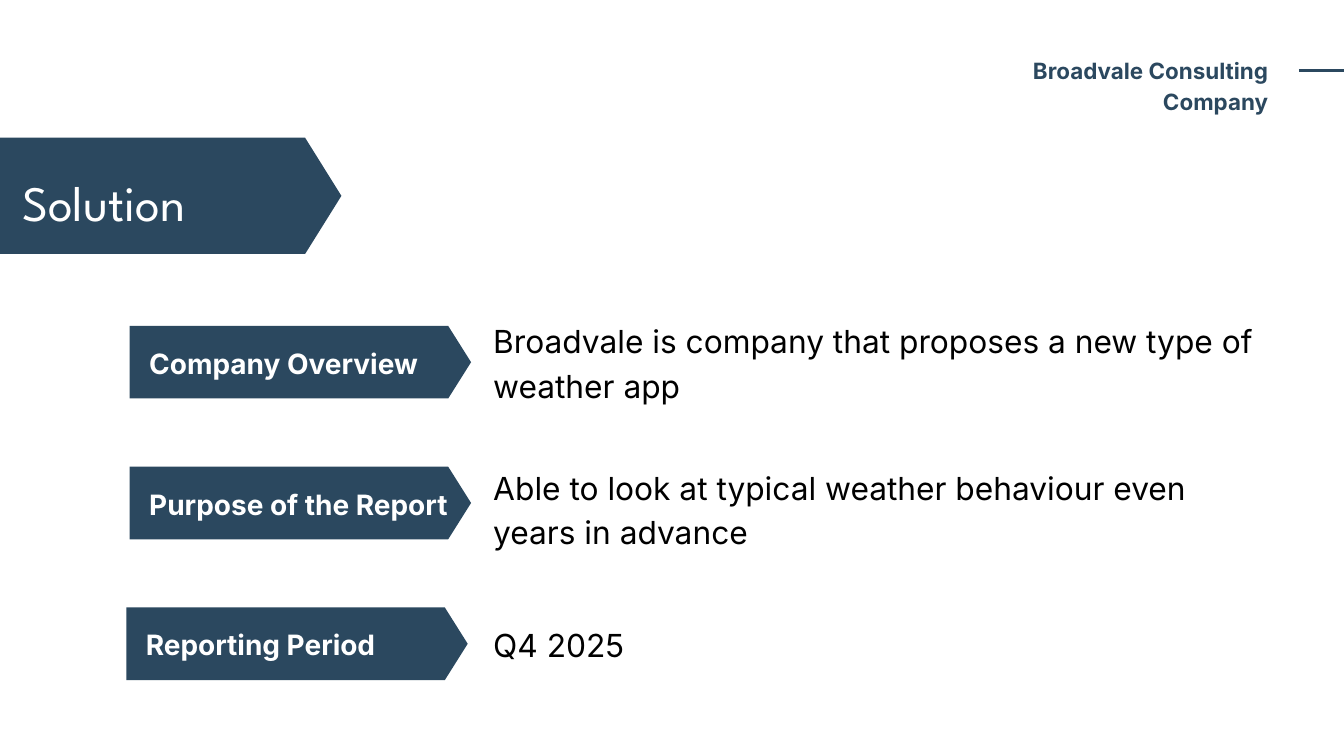
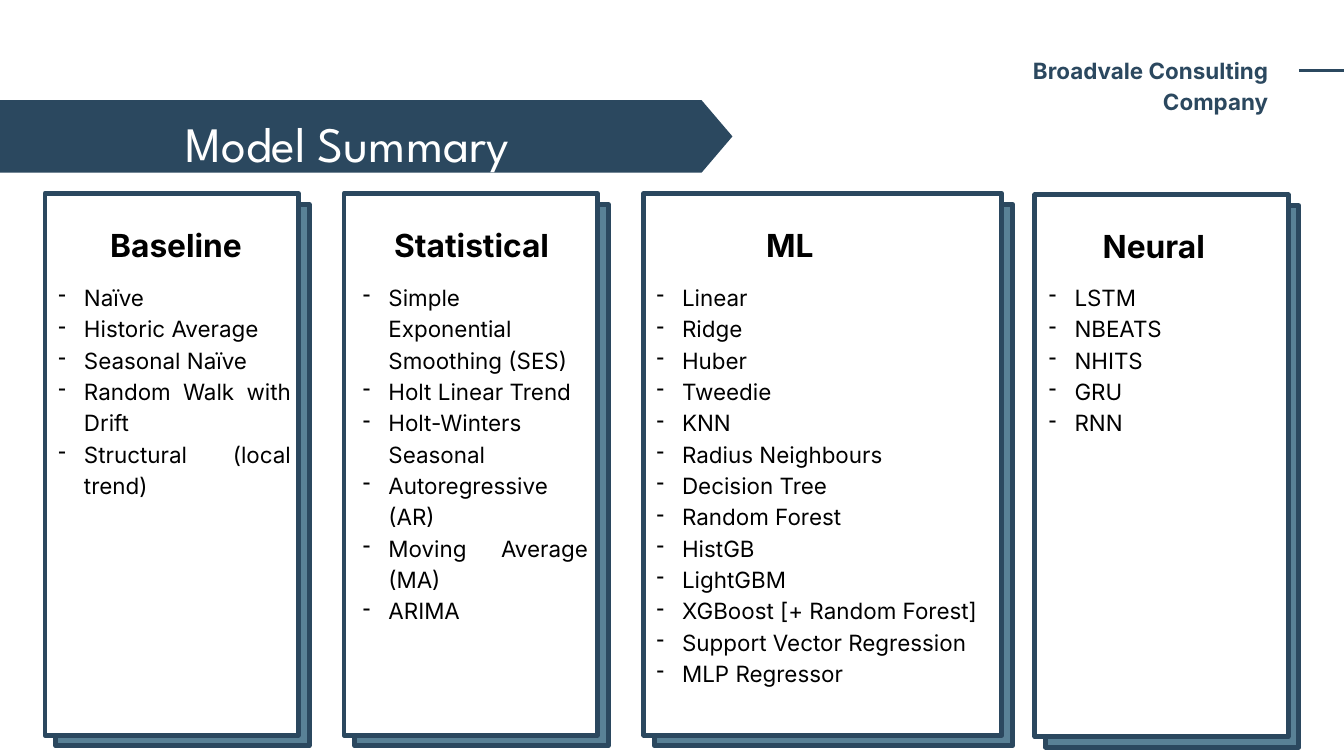
"""Build the solution and model summary slides of the weather app report."""
import dataclasses

import lxml.etree
import pptx
import pptx.dml.color
import pptx.enum.shapes
import pptx.enum.text
import pptx.oxml.ns
import pptx.util

Inches = pptx.util.Inches
RGBColor = pptx.dml.color.RGBColor
Align = pptx.enum.text.PP_ALIGN
Preset = pptx.enum.shapes.MSO_SHAPE
qn = pptx.oxml.ns.qn


@dataclasses.dataclass(frozen=True)
class Theme:
    navy: RGBColor = RGBColor.from_string("2B485F")
    steel: RGBColor = RGBColor.from_string("598196")
    white: RGBColor = RGBColor.from_string("FFFFFF")
    black: RGBColor = RGBColor.from_string("000000")
    title_font: str = "League Spartan"
    body_font: str = "Inter"
    title_size: int = 53
    body_size: int = 34
    label_size: int = 30
    small_size: int = 24
    line_factor: float = 1.4
    card_border: float = 5.25
    header_line: float = 3


theme = Theme()


def add_text(slide, box, lines, size, color, font=theme.body_font,
             bold=False, align=Align.LEFT, bullet=None):
    frame = slide.shapes.add_textbox(*map(Inches, box)).text_frame
    frame.margin_left = frame.margin_right = 0
    frame.margin_top = frame.margin_bottom = 0
    frame.word_wrap = True
    frame.auto_size = pptx.enum.text.MSO_AUTO_SIZE.SHAPE_TO_FIT_TEXT
    for index, line in enumerate(lines):
        paragraph = frame.add_paragraph() if index else frame.paragraphs[0]
        paragraph.alignment = align
        paragraph.line_spacing = pptx.util.Pt(size * theme.line_factor)
        if bullet:
            properties = paragraph._p.get_or_add_pPr()
            properties.set("marL", str(Inches(0.38)))
            properties.set("indent", str(Inches(-0.38)))
            lxml.etree.SubElement(properties, qn("a:buChar")).set("char", bullet)
        run = paragraph.add_run()
        run.text = line
        run.font.name = font
        run.font.size = pptx.util.Pt(size)
        run.font.bold = bold
        run.font.color.rgb = color


def add_panel(slide, preset, box, fill, border=None, tip=None):
    shape = slide.shapes.add_shape(preset, *map(Inches, box))
    shape.shadow.inherit = False
    shape.fill.solid()
    shape.fill.fore_color.rgb = fill
    if border:
        shape.line.color.rgb = border
        shape.line.width = pptx.util.Pt(theme.card_border)
    else:
        shape.line.fill.background()
    if tip:
        shape.adjustments[0] = tip / box[3]


presentation = pptx.Presentation()
presentation.slide_width = Inches(20)
presentation.slide_height = Inches(11.25)

titles = [
    ("Solution", (-1.31, 2.05, 6.39, 1.73), 0.54, (0.33, 2.42, 7.71, 1), Align.LEFT),
    ("Model Summary", (-0.83, 1.49, 11.73, 1.08), 0.46, (-0.43, 1.54, 11.2, 1), Align.CENTER),
]
slides = []
for title, band_box, tip, title_box, align in titles:
    slide = presentation.slides.add_slide(presentation.slide_layouts[6])
    slides.append(slide)
    add_panel(slide, Preset.PENTAGON, band_box, theme.navy, tip=tip)
    add_text(slide, title_box, [title], theme.title_size, theme.white,
             font=theme.title_font, align=align)
    add_text(slide, (13.88, 0.78, 4.99, 0.91), ["Broadvale Consulting Company"],
             theme.small_size, theme.navy, bold=True, align=Align.RIGHT)
    header_line = slide.shapes.add_connector(
        pptx.enum.shapes.MSO_CONNECTOR.STRAIGHT,
        Inches(19.33), Inches(1.05), Inches(23.66), Inches(1.05))
    header_line.line.color.rgb = theme.navy
    header_line.line.width = pptx.util.Pt(theme.header_line)
    lxml.etree.SubElement(header_line._element.spPr, qn("a:effectLst"))

solution_slide, model_slide = slides

topics = [
    ("Company Overview", 1.93, 4.7, 1.29,
     "Broadvale is company that proposes a new type of weather app"),
    ("Purpose of the Report", 1.93, 6.88, 1.29,
     "Able to look at typical weather behaviour even years in advance"),
    ("Reporting Period", 1.88, 9.22, 0.62, "Q4 2025"),
]
for index, (label, left, text_top, text_height, text) in enumerate(topics):
    top = 4.85 + 2.095 * index
    add_panel(solution_slide, Preset.PENTAGON, (left, top, 5.08, 1.08), theme.navy, tip=0.34)
    add_text(solution_slide, (left + 0.29, top + 0.22, 4.62, 0.57), [label],
             theme.label_size, theme.white, bold=True)
    add_text(solution_slide, (7.34, text_top, 11.54, text_height), [text],
             theme.body_size, theme.black)

families = [
    ("Baseline", (0.67, 2.88, 3.77), (1.58, 2.08), (0.87, 3.46),
     ["Naïve", "Historic Average", "Seasonal Naïve", "Random Walk with Drift",
      "Structural (local trend)"]),
    ("Statistical", (5.12, 2.88, 3.77), (5.75, 2.54), (5.4, 3.35),
     ["Simple Exponential Smoothing (SES)", "Holt Linear Trend", "Holt-Winters Seasonal",
      "Autoregressive (AR)", "Moving Average (MA)", "ARIMA"]),
    ("ML", (9.58, 2.88, 5.33), (10.4, 2.71), (9.77, 4.81),
     ["Linear", "Ridge", "Huber", "Tweedie", "KNN", "Radius Neighbours", "Decision Tree",
      "Random Forest", "HistGB", "LightGBM", "XGBoost [+ Random Forest]",
      "Support Vector Regression", "MLP Regressor"]),
    ("Neural", (15.4, 2.9, 3.77), (16.21, 1.92), (15.61, 3.35),
     ["LSTM", "NBEATS", "NHITS", "GRU", "RNN"]),
]
card_height, card_offset = 8.06, 0.16
for family, (left, top, width), (heading_left, heading_width), (list_left, list_width), models in families:
    for offset, fill in [(card_offset, theme.steel), (0, theme.white)]:
        add_panel(model_slide, Preset.RECTANGLE,
                  (left + offset, top + offset, width, card_height), fill, border=theme.navy)
    add_text(model_slide, (heading_left, top + 0.38, heading_width, 0.63), [family],
             theme.body_size, theme.black, bold=True, align=Align.CENTER)
    list_height = {"Baseline": 3.3, "Statistical": 5.21, "ML": 6.16, "Neural": 2.34}[family]
    add_text(model_slide, (list_left, 4.16, list_width, list_height), models,
             theme.small_size, theme.black, align=Align.JUSTIFY, bullet="-")

presentation.save("out.pptx")
